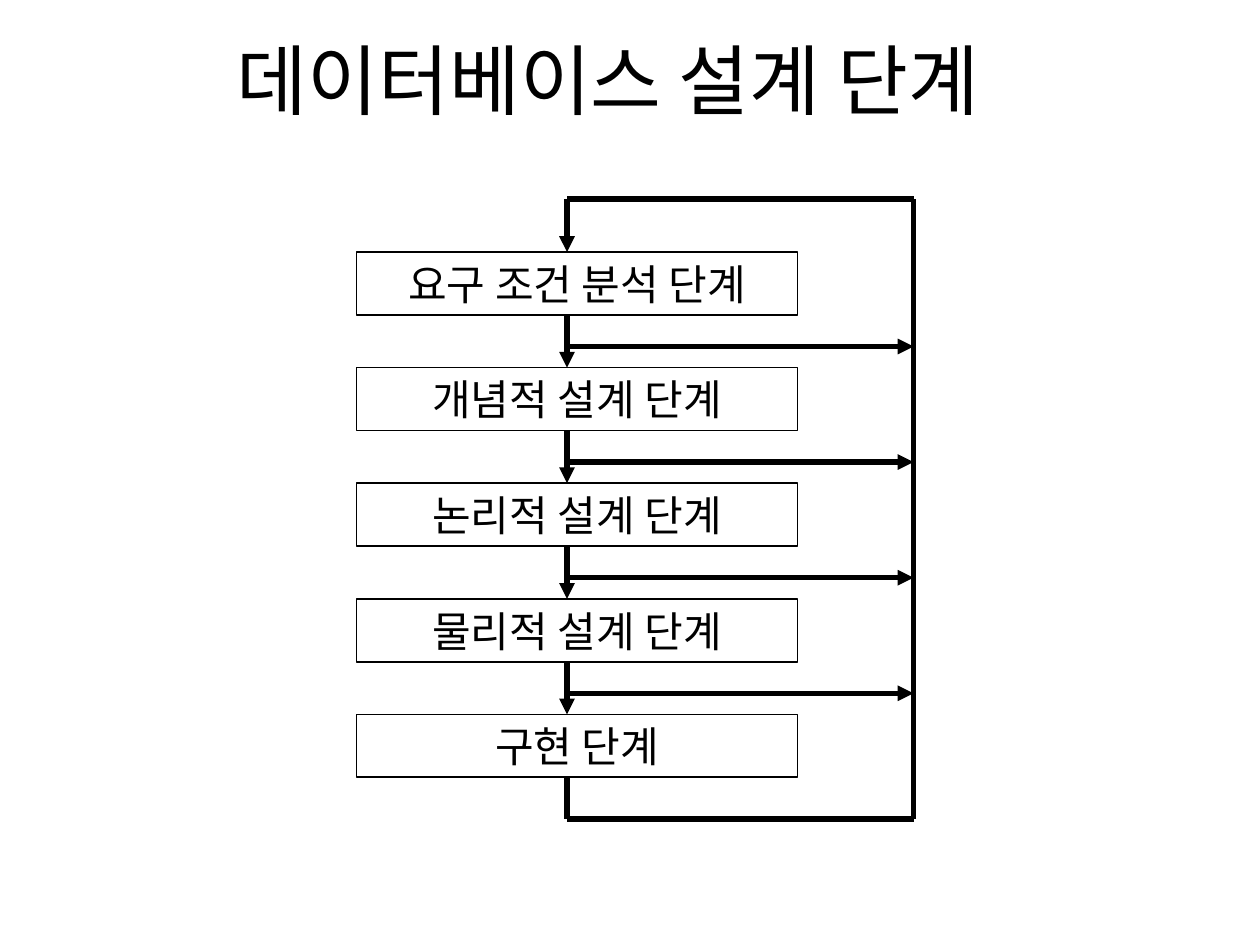
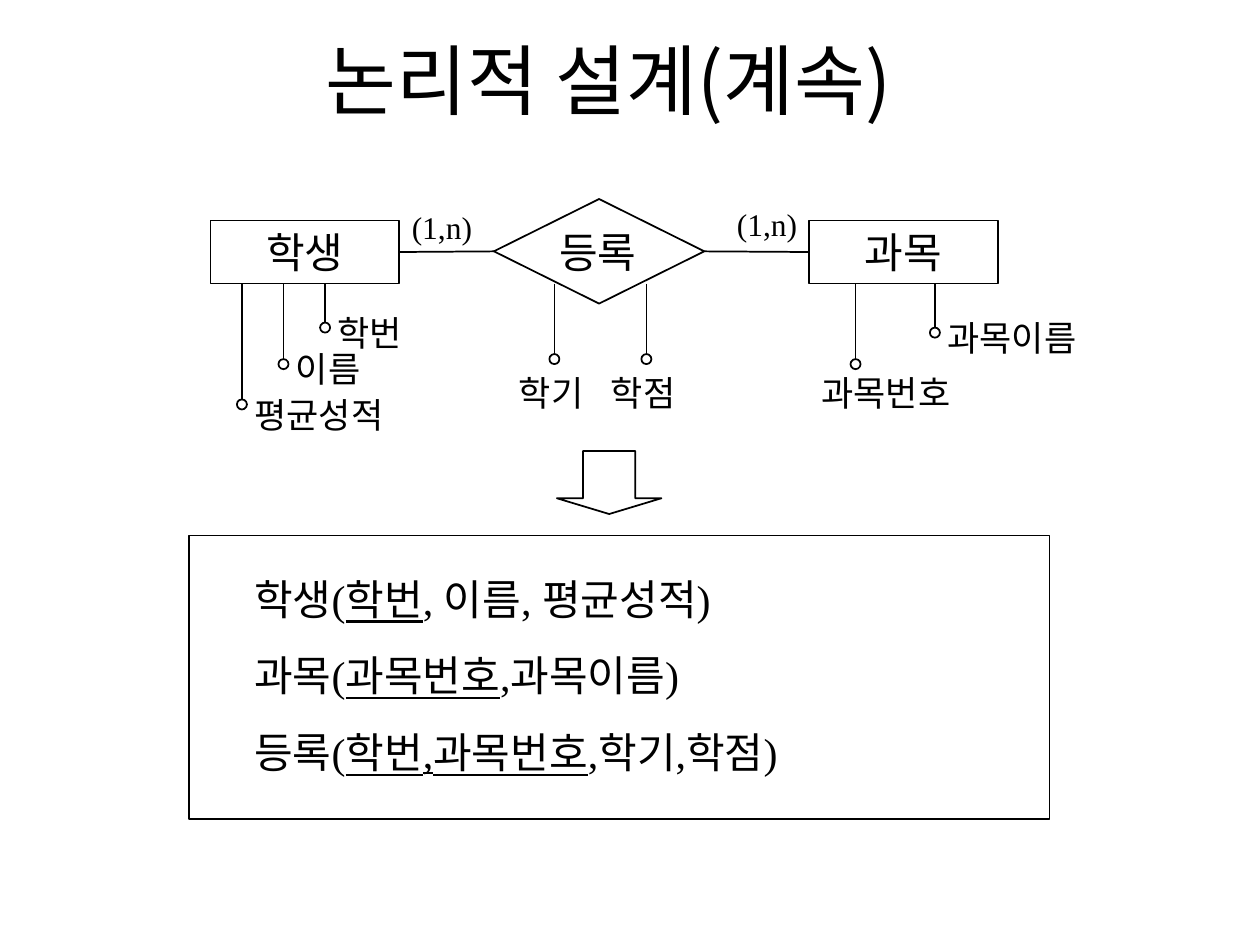
import pptx
import pptx.util
import pptx.dml.color
import pptx.enum.shapes
import pptx.enum.text
import pptx.oxml
import pptx.oxml.ns

Inches, Pt = pptx.util.Inches, pptx.util.Pt
SHAPE = pptx.enum.shapes.MSO_SHAPE
ALIGN = pptx.enum.text.PP_ALIGN
ANCHOR = pptx.enum.text.MSO_ANCHOR

BLACK = pptx.dml.color.RGBColor(0, 0, 0)
HANGUL_FONT = "Noto Sans CJK KR"
BODY_FONT = "Times New Roman"
TITLE_SIZE, BODY_SIZE, ATTRIBUTE_SIZE, CARDINALITY_SIZE = 44, 24, 20, 18
THIN, THICK = 1, 3
RECT_TOP, RECT_LEFT, RECT_BOTTOM, RECT_RIGHT = range(4)


def add_element(parent, tag, **attributes):
    element = pptx.oxml.parse_xml(f"<a:{tag} {pptx.oxml.ns.nsdecls('a')}/>")
    for name, value in attributes.items():
        element.set(name, value)
    parent.append(element)


def add_run(paragraph, text, size, font=BODY_FONT, underline=None):
    run = paragraph.add_run()
    run.text = text
    run.font.size = Pt(size)
    run.font.color.rgb = BLACK
    run.font.name = font
    run.font.underline = underline
    add_element(run.font._element, "ea", typeface=HANGUL_FONT)


def write(shape, text, size, align=ALIGN.LEFT, anchor=ANCHOR.TOP, font=BODY_FONT):
    frame = shape.text_frame
    frame.word_wrap = True
    frame.vertical_anchor = anchor
    frame.paragraphs[0].alignment = align
    add_run(frame.paragraphs[0], text, size, font)


def add_label(slide, box, text, size, **style):
    label = slide.shapes.add_textbox(*map(Inches, box))
    write(label, text, size, **style)


def add_outline(slide, kind, box):
    """Add an unfilled shape with a thin black line."""
    shape = slide.shapes.add_shape(kind, *map(Inches, box))
    shape.shadow.inherit = False
    shape.fill.background()
    shape.line.color.rgb = BLACK
    shape.line.width = Pt(THIN)
    return shape


def add_line(slide, start, end, width=THIN, arrow=False):
    line = slide.shapes.add_connector(
        pptx.enum.shapes.MSO_CONNECTOR.STRAIGHT, *map(Inches, (*start, *end)))
    line.line.color.rgb = BLACK
    line.line.width = Pt(width)
    if arrow:
        add_element(line.line._get_or_add_ln(), "tailEnd", type="triangle")
    add_element(line._element.spPr, "effectLst")
    return line


def add_titled_slide(deck, title):
    slide = deck.slides.add_slide(deck.slide_layouts[6])
    add_label(slide, (0.58, 0, 8.5, 1.25), title, TITLE_SIZE,
              align=ALIGN.CENTER, anchor=ANCHOR.MIDDLE, font=HANGUL_FONT)
    return slide


def draw_design_steps(slide, box, steps):
    """Stack the steps, each feeding the next and the return loop on the right."""
    left, top, width, height = box
    step_width, step_height = 3.5, 0.5
    entry, exit_drop = 0.42, 0.33
    pitch = (height - entry - exit_drop - step_height) / (len(steps) - 1)
    flow_x, loop_x, bottom = left + 1.67, left + width, top + height

    step_tops = [top + entry + i * pitch for i in range(len(steps))]
    for name, step_top in zip(steps, step_tops):
        step = add_outline(slide, SHAPE.RECTANGLE,
                           (left, step_top, step_width, step_height))
        write(step, name, BODY_SIZE, ALIGN.CENTER, ANCHOR.MIDDLE)

    for step_top, next_top in zip(step_tops, step_tops[1:]):
        step_bottom = step_top + step_height
        branch_y = step_bottom + 0.25
        add_line(slide, (flow_x, step_bottom), (flow_x, next_top), THICK, arrow=True)
        add_line(slide, (flow_x, branch_y), (loop_x, branch_y), THICK, arrow=True)

    loop = [(flow_x, step_tops[-1] + step_height), (flow_x, bottom),
            (loop_x, bottom), (loop_x, top), (flow_x, top), (flow_x, step_tops[0])]
    for start, end in zip(loop, loop[1:]):
        add_line(slide, start, end, THICK, arrow=end == loop[-1])


def draw_attributes(slide, origin, attributes):
    """Hang each attribute (name, x, stem length, label dx, dy, width) below origin."""
    left, top = origin
    dot = 0.08
    for name, x, stem, label_dx, label_dy, label_width in attributes:
        stem_x, dot_top = left + x, top + stem
        add_line(slide, (stem_x, top), (stem_x, dot_top))
        add_outline(slide, SHAPE.FLOWCHART_CONNECTOR,
                    (stem_x - dot / 2, dot_top, dot, dot))
        add_label(slide, (stem_x + label_dx, dot_top + label_dy, label_width, 0.44),
                  name, ATTRIBUTE_SIZE)


def draw_entity_diagram(slide, left, top):
    entity_top, entity_width, entity_height = top + 0.17, 1.5, 0.5
    stem_top = entity_top + entity_height
    student_x, enrol_x, course_x = left, left + 2.25, left + 4.75

    entities = []
    for name, x in (("학생", student_x), ("과목", course_x)):
        entity = add_outline(slide, SHAPE.RECTANGLE,
                             (x, entity_top, entity_width, entity_height))
        write(entity, name, BODY_SIZE, ALIGN.CENTER)
        entities.append(entity)
    student, course = entities

    enrol = add_outline(slide, SHAPE.FLOWCHART_DECISION, (enrol_x, top, 1.67, 0.83))
    add_label(slide, (enrol_x + 0.16, entity_top, 1.33, entity_height),
              "등록", BODY_SIZE, align=ALIGN.CENTER)

    for source, source_side, target, target_side in (
            (enrol, RECT_LEFT, student, RECT_RIGHT),
            (enrol, RECT_RIGHT, course, RECT_LEFT)):
        link = add_line(slide, (enrol_x, top), (enrol_x, top))
        link.begin_connect(source, source_side)
        link.end_connect(target, target_side)

    for x, y in ((1.5, 0.02), (4.08, 0)):
        add_label(slide, (left + x, top + y, 1.33, 0.4), "(1,n)", CARDINALITY_SIZE)

    draw_attributes(slide, (student_x, stem_top), [
        ("학번", 0.91, 0.31, 0, -0.14, 0.92),
        ("이름", 0.58, 0.6, 0, -0.14, 0.92),
        ("평균성적", 0.25, 0.92, 0, -0.1, 1.33)])
    draw_attributes(slide, (enrol_x, stem_top), [
        ("학기", 0.48, 0.56, -0.38, 0.09, 0.92),
        ("학점", 1.21, 0.56, -0.38, 0.09, 0.92)])
    draw_attributes(slide, (course_x, stem_top), [
        ("과목번호", 0.37, 0.6, -0.37, 0.05, 1.75),
        ("과목이름", 1, 0.35, 0, -0.14, 1.5)])


def draw_relations(slide, box, relations):
    """Frame the relation schemas, with each key underlined."""
    left, top, width, height = box
    add_outline(slide, SHAPE.RECTANGLE, box)
    schemas = slide.shapes.add_textbox(
        *map(Inches, (left + 0.42, top + 0.25, width - 1, height - 0.53)))
    frame = schemas.text_frame
    frame.word_wrap = True
    for i, (name, key, others) in enumerate(relations):
        paragraph = frame.add_paragraph() if i else frame.paragraphs[0]
        paragraph.space_before = Pt(15)
        add_run(paragraph, name, BODY_SIZE)
        add_run(paragraph, key, BODY_SIZE, underline=True)
        add_run(paragraph, others, BODY_SIZE)


def main():
    deck = pptx.Presentation()
    deck.slide_width, deck.slide_height = Inches(10), Inches(7.5)

    steps_slide = add_titled_slide(deck, "데이터베이스 설계 단계")
    draw_design_steps(steps_slide, (2.83, 1.58, 4.42, 4.92), [
        "요구 조건 분석 단계", "개념적 설계 단계", "논리적 설계 단계",
        "물리적 설계 단계", "구현 단계"])

    logical_slide = add_titled_slide(deck, "논리적 설계(계속)")
    draw_entity_diagram(logical_slide, 1.67, 1.58)
    mapping_arrow = add_outline(logical_slide, SHAPE.DOWN_ARROW, (4.42, 3.58, 0.83, 0.5))
    mapping_arrow.adjustments[0] = 0.5
    mapping_arrow.adjustments[1] = 0.25
    draw_relations(logical_slide, (1.5, 4.25, 6.83, 2.25), [
        ("학생(", "학번", ", 이름, 평균성적)"),
        ("과목(", "과목번호", ",과목이름)"),
        ("등록(", "학번,과목번호", ",학기,학점)")])

    deck.save("out.pptx")


if __name__ == "__main__":
    main()
